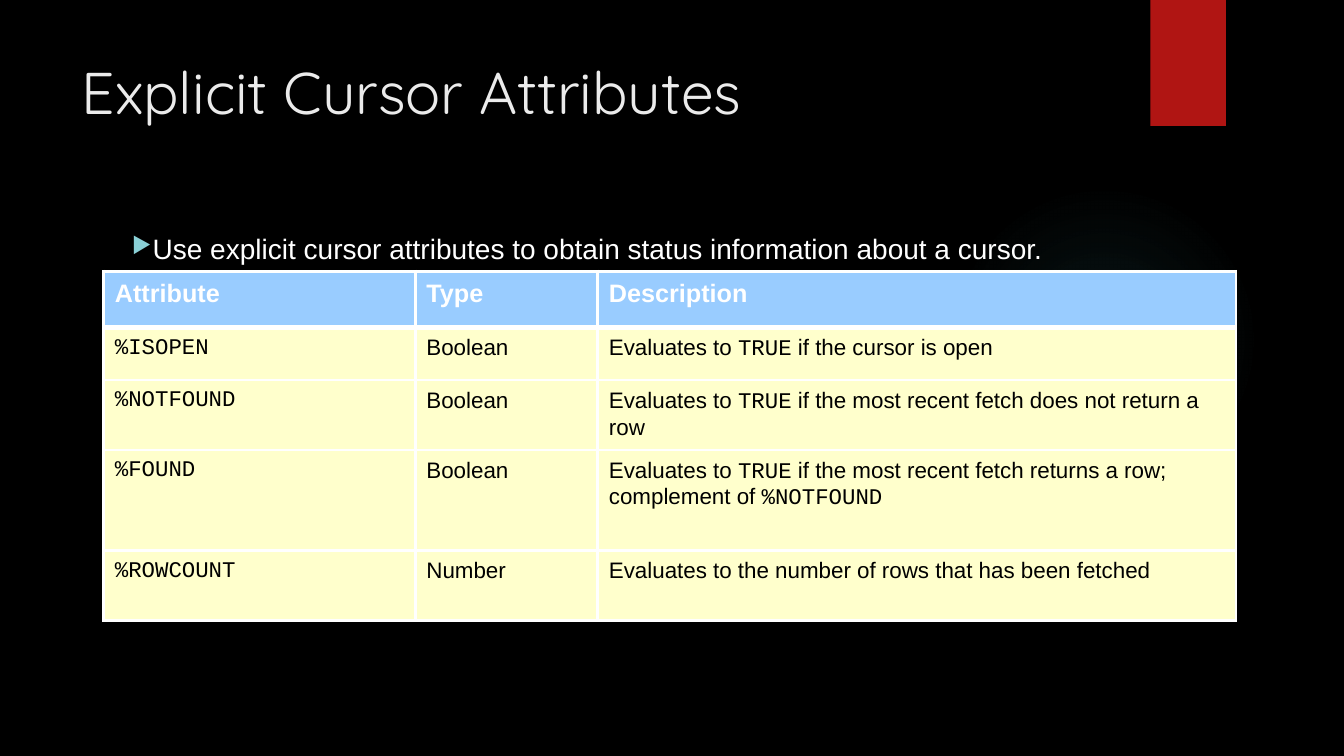
from lxml import etree
from pptx import Presentation
from pptx import util as u
from pptx.dml.color import RGBColor
from pptx.enum import shapes, text
from pptx.oxml import parse_xml
from pptx.oxml.ns import nsdecls, qn

TITLE = "Explicit Cursor Attributes"
LEAD = "Use explicit cursor attributes to obtain status information about a cursor."
# Backticks enclose code.
ROWS = [
    ("Attribute", "Type", "Description"),
    ("`%ISOPEN`", "Boolean", "Evaluates to `TRUE` if the cursor is open"),
    ("`%NOTFOUND`", "Boolean",
     "Evaluates to `TRUE` if the most recent fetch does not return a row"),
    ("`%FOUND`", "Boolean",
     "Evaluates to `TRUE` if the most recent fetch returns a row; complement of `%NOTFOUND`"),
    ("`%ROWCOUNT`", "Number", "Evaluates to the number of rows that has been fetched"),
]
WIDTHS = (3.09, 1.81, 6.33)
HEIGHTS = (0.56, 0.52, 0.69, 1, 0.69)
GLOW = ((0, 7), (36, 6), (69, 0))  # stop and opacity, in percent

BLACK = RGBColor(0, 0, 0)
WHITE = RGBColor(255, 255, 255)
PALE = RGBColor(0xEB, 0xEB, 0xEB)
RED = RGBColor(0xB0, 0x15, 0x13)
TEAL = RGBColor(0x50, 0xB9, 0xC1)
AQUA = RGBColor(0x8A, 0xD0, 0xD6)
BLUE = RGBColor(0x99, 0xCC, 0xFF)
CREAM = RGBColor(0xFF, 0xFF, 0xCC)


def box(*sides):
    return [u.Inches(side) for side in sides]


def style(run, size, color, face="Arial", bold=False):
    font = run.font
    font.size, font.name, font.bold = u.Pt(size), face, bold
    font.color.rgb = color


def shape(kind, sides, color):
    item = slide.shapes.add_shape(kind, *box(*sides))
    item.shadow.inherit = False
    item.fill.solid()
    item.fill.fore_color.rgb = color
    item.line.fill.background()
    return item


def fade(item):
    """Replace the fill with a radial glow."""
    stops = "".join(
        f'<a:gs pos="{pos * 1000}"><a:srgbClr val="{TEAL}">'
        f'<a:alpha val="{alpha * 1000}"/></a:srgbClr></a:gs>' for pos, alpha in GLOW)
    props = item.element.spPr
    props.replace(props.find(qn("a:solidFill")), parse_xml(
        f'<a:gradFill {nsdecls("a")}><a:gsLst>{stops}</a:gsLst><a:path path="circle">'
        '<a:fillToRect l="50000" t="50000" r="50000" b="50000"/></a:path></a:gradFill>'))


def edge(cell, row):
    """Draw white borders, thicker below the header."""
    props = cell._tc.get_or_add_tcPr()
    thick = {0: "B", 1: "T"}.get(row)
    for spot, side in enumerate("LRTB"):
        width = u.Pt(4.5 if side == thick else 2.25)
        props.insert(spot, parse_xml(
            f'<a:ln{side} {nsdecls("a")} w="{width}"><a:solidFill>'
            f'<a:srgbClr val="{WHITE}"/></a:solidFill></a:ln{side}>'))


def write(cell, words, row):
    head = row == 0
    cell.margin_left = cell.margin_right = u.Inches(0.11)
    cell.margin_top = cell.margin_bottom = u.Inches(0.08)
    cell.fill.solid()
    cell.fill.fore_color.rgb = BLUE if head else CREAM
    edge(cell, row)
    para = cell.text_frame.paragraphs[0]
    for spot, part in enumerate(words.split("`")):
        if part:
            run = para.add_run()
            run.text = part
            style(run, 18 if head else 16, WHITE if head else BLACK,
                  "Courier New" if spot % 2 else "Arial", head)


deck = Presentation()
deck.slide_width, deck.slide_height = box(13.33, 7.5)
slide = deck.slides.add_slide(deck.slide_layouts[5])
slide.background.fill.solid()
slide.background.fill.fore_color.rgb = BLACK

fade(shape(shapes.MSO_SHAPE.OVAL, (9.41, 1.83, 3.08, 3.08), TEAL))
shape(shapes.MSO_SHAPE.RECTANGLE, (11.41, 0, 0.75, 1.25), RED)

title = slide.shapes.title
title.left, title.top, title.width, title.height = box(0.71, 0.5, 10.29, 1.53)
title.text_frame.text = TITLE
title.text_frame.vertical_anchor = text.MSO_ANCHOR.TOP
para = title.text_frame.paragraphs[0]
para.alignment = text.PP_ALIGN.LEFT
style(para.runs[0], 42, PALE, "Quicksand")

lead = slide.shapes.add_textbox(*box(1.21, 2.25, 9.78, 4.59)).text_frame
lead.word_wrap = True
lead.text = LEAD
para = lead.paragraphs[0]
para.space_before = u.Pt(10)
style(para.runs[0], 20, WHITE)
props = para._p.get_or_add_pPr()
color = etree.SubElement(props, qn("a:buClr"))
etree.SubElement(color, qn("a:srgbClr"), val=str(AQUA))
etree.SubElement(props, qn("a:buSzPct"), val="80000")
etree.SubElement(props, qn("a:buChar"), char="▶")

grid = slide.shapes.add_table(
    len(ROWS), len(WIDTHS), *box(1.03, 2.69, sum(WIDTHS), sum(HEIGHTS))).table
for col, width in zip(grid.columns, WIDTHS):
    col.width = u.Inches(width)
for row, (height, line) in enumerate(zip(HEIGHTS, ROWS)):
    grid.rows[row].height = u.Inches(height)
    for col, words in enumerate(line):
        write(grid.cell(row, col), words, row)

deck.save("out.pptx")
